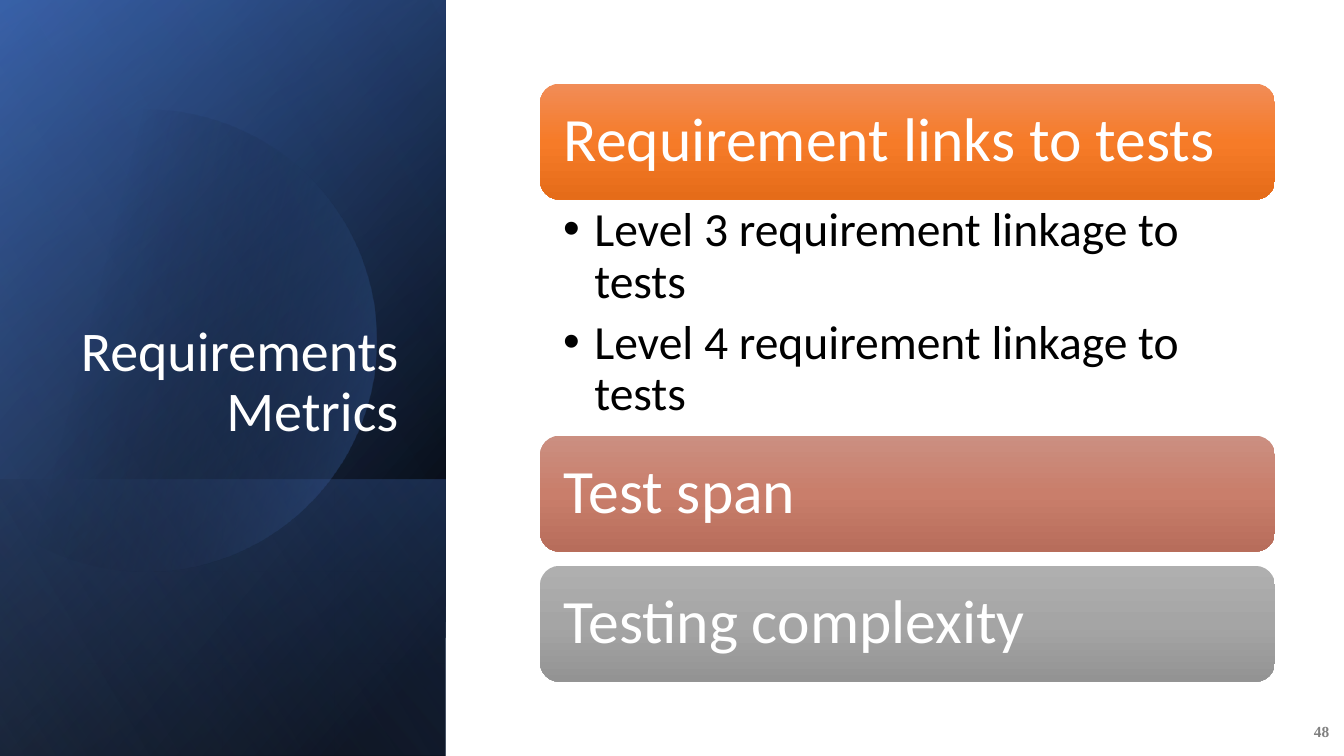
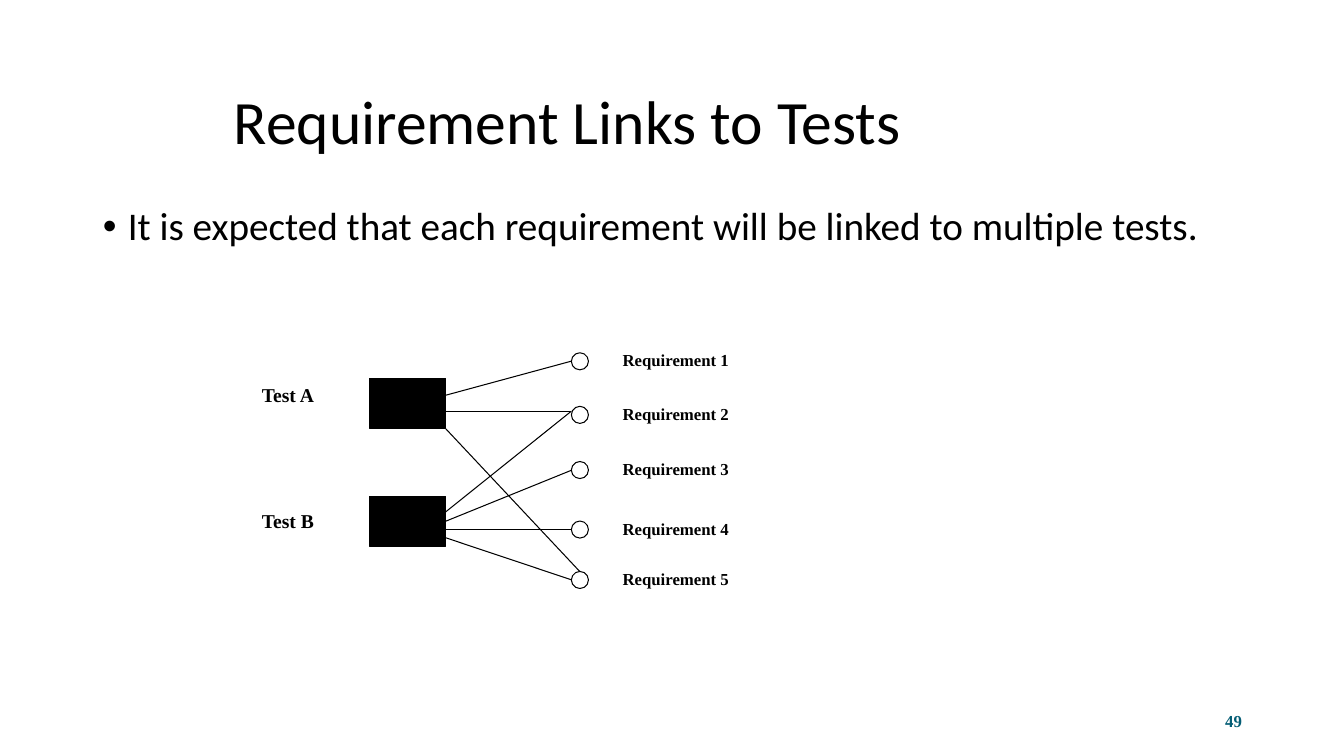
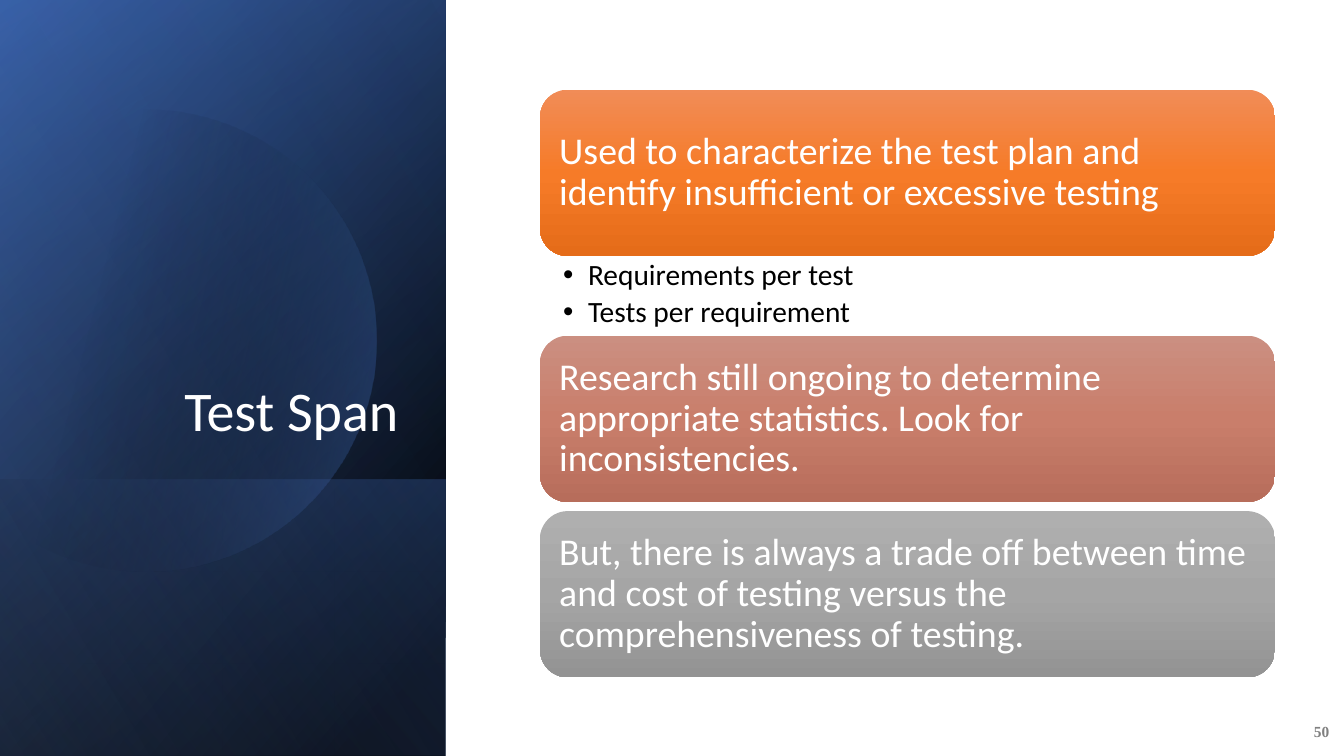
import math

import lxml.etree
import pptx
import pptx.dml.color
import pptx.enum.shapes
import pptx.enum.text
import pptx.oxml.ns
import pptx.util

Cm = pptx.util.Cm
Pt = pptx.util.Pt
qn = pptx.oxml.ns.qn
SHAPES = pptx.enum.shapes.MSO_SHAPE
ALIGN = pptx.enum.text.PP_ALIGN
ANCHOR = pptx.enum.text.MSO_ANCHOR

COLORS = {
    "black": "000000", "white": "FFFFFF", "gray": "808080", "teal": "045D75",
    "navy": "2F5597", "blue": "4472C4", "sky": "8FAADC",
    "orange light": "F18C57", "orange": "F67B28", "orange dark": "E56C19",
    "clay light": "CB8F81", "clay": "C97E6B", "clay dark": "B76D5B",
    "silver light": "AFAFAF", "silver": "A5A5A5", "silver dark": "939393",
}
CARD_HUES = ("orange", "clay", "silver")
SERIF = {"name": "Times New Roman", "bold": True}
SANS = {"name": "Calibri", "bold": False}

PANEL_WIDTH = 11.23
# top, height, gradient angle, stops of (position %, colour, opacity %)
PANEL_BACK = [
    (0, 19.05, 50, [(8, "black", 100), (100, "navy", 100)]),
    (0, 19.05, 30, [(0, "black", 0), (99, "blue", 46)]),
    (12.09, 6.96, 130, [(2, "blue", 29), (100, "black", 30)]),
]
PANEL_GLOSS = (0, 19.05, 120, [(0, "black", 0), (99, "sky", 11)])
DISC_X, DISC_Y, DISC_RADIUS = 3.68, 8.59, 5.82

CARD_LEFT, CARD_WIDTH = 13.61, 18.52


def box(left, top, width, height):
    return Cm(left), Cm(top), Cm(width), Cm(height)


def place(placeholder, left, top, width, height):
    frame = dict(zip(("left", "top", "width", "height"), box(left, top, width, height)))
    for name, value in frame.items():
        setattr(placeholder, name, value)


def write(frame, lines, font, size, color, anchor=ANCHOR.TOP, align=ALIGN.LEFT,
          spacing=1.0, after=0, bullet_indent=0, insets=(0.25, 0.13, 0.25, 0.13)):
    """Fill a text frame with one formatted paragraph per line; insets run left, top, right, bottom."""
    frame_format = {"word_wrap": True, "vertical_anchor": anchor,
                    "auto_size": pptx.enum.text.MSO_AUTO_SIZE.NONE}
    for side, inset in zip(("left", "top", "right", "bottom"), insets):
        frame_format[f"margin_{side}"] = Cm(inset)
    for name, value in frame_format.items():
        setattr(frame, name, value)
    for index, line in enumerate(lines):
        paragraph = frame.paragraphs[0] if index == 0 else frame.add_paragraph()
        if bullet_indent:
            add_bullet(paragraph, bullet_indent)
        paragraph_format = {"alignment": align, "line_spacing": spacing,
                            "space_before": Pt(0), "space_after": Pt(after)}
        for name, value in paragraph_format.items():
            setattr(paragraph, name, value)
        run = paragraph.add_run()
        run.text = line
        for name, value in {**font, "size": Pt(size)}.items():
            setattr(run.font, name, value)
        run.font.color.rgb = pptx.dml.color.RGBColor.from_string(COLORS[color])


def add_bullet(paragraph, indent):
    properties = paragraph._p.get_or_add_pPr()
    properties.set("marL", str(Cm(indent)))
    properties.set("indent", str(-Cm(indent)))
    lxml.etree.SubElement(properties, qn("a:buFont"), typeface="Arial")
    lxml.etree.SubElement(properties, qn("a:buChar"), char="•")


def add_label(slide, text, frame, size, color="black", **text_format):
    label = slide.shapes.add_textbox(*box(*frame))
    write(label.text_frame, [text], SERIF, size, color, **text_format)


def paint_gradient(shape, angle, stops):
    """Give a borderless shape a linear gradient; the angle runs clockwise."""
    shape.shadow.inherit = False
    shape.line.fill.background()
    shape.fill.gradient()
    shape.fill.gradient_angle = 360 - angle
    stop_list = shape._element.spPr.find(qn("a:gradFill")).find(qn("a:gsLst"))
    for default_stop in list(stop_list):
        stop_list.remove(default_stop)
    for position, color, opacity in stops:
        stop = lxml.etree.SubElement(stop_list, qn("a:gs"), pos=str(position * 1000))
        tone = lxml.etree.SubElement(stop, qn("a:srgbClr"), val=COLORS[color])
        if opacity < 100:
            lxml.etree.SubElement(tone, qn("a:alpha"), val=str(opacity * 1000))


def add_panel_layer(slide, top, height, angle, stops):
    """Add a mirrored rectangle turned by 90°, so its gradient turns with it."""
    shift = (PANEL_WIDTH - height) / 2
    layer = slide.shapes.add_shape(SHAPES.RECTANGLE,
                                   *box(shift, top - shift, height, PANEL_WIDTH))
    layer.rotation = 90
    layer._element.spPr.find(qn("a:xfrm")).set("flipH", "1")
    paint_gradient(layer, angle, stops)


def add_disc(slide):
    """Add the circle that the left edge of the slide cuts off."""
    half_arc = math.acos(-DISC_X / DISC_RADIUS)
    steps = 90
    angles = [half_arc * (2 * step / steps - 1) for step in range(steps + 1)]
    rim = [(Cm(DISC_X + DISC_RADIUS * math.cos(angle)),
            Cm(DISC_Y + DISC_RADIUS * math.sin(angle))) for angle in angles]
    outline = slide.shapes.build_freeform(*rim[0])
    outline.add_line_segments(rim[1:], close=True)
    paint_gradient(outline.convert_to_shape(), 14, [(29, "black", 0), (100, "blue", 43)])


def add_panel_slide(deck, title, number):
    slide = deck.slides.add_slide(deck.slide_layouts[5])
    for layer in PANEL_BACK:
        add_panel_layer(slide, *layer)
    add_disc(slide)
    add_panel_layer(slide, *PANEL_GLOSS)
    heading = slide.shapes.title
    heading._element.getparent().append(heading._element)
    place(heading, 1.63, 4.67, 8.66, 6.65)
    write(heading.text_frame, [title], SANS, 40, "white",
          anchor=ANCHOR.BOTTOM, align=ALIGN.RIGHT, spacing=0.9)
    add_label(slide, number, (32.51, 17.93, 1.24, 1.02), 11, "gray",
              anchor=ANCHOR.MIDDLE, align=ALIGN.RIGHT)
    return slide


def add_card(slide, text, hue, top, height, size, inset):
    card = slide.shapes.add_shape(SHAPES.ROUNDED_RECTANGLE,
                                  *box(CARD_LEFT, top, CARD_WIDTH, height))
    paint_gradient(card, 90, [(0, f"{hue} light", 100), (50, hue, 100),
                              (100, f"{hue} dark", 100)])
    write(card.text_frame, [text], SANS, size, "white", anchor=ANCHOR.MIDDLE,
          spacing=0.9, insets=(inset,) * 4)


def add_card_stack(slide, headlines, points, top, card_height, points_height, gap,
                   card_text, points_text):
    """Stack three cards, with the bullet points under the first."""
    for index, (headline, hue) in enumerate(zip(headlines, CARD_HUES)):
        add_card(slide, headline, hue, top, card_height, **card_text)
        top += card_height
        if index == 0:
            details = slide.shapes.add_textbox(
                *box(CARD_LEFT, top, CARD_WIDTH, points_height))
            write(details.text_frame, points, SANS, color="black", spacing=0.9,
                  **points_text)
            top += points_height
        else:
            top += gap


def add_outlined(slide, kind, frame, filled):
    node = slide.shapes.add_shape(kind, *box(*frame))
    node.shadow.inherit = False
    black = pptx.dml.color.RGBColor.from_string(COLORS["black"])
    if filled:
        node.fill.solid()
        node.fill.fore_color.rgb = black
    else:
        node.fill.background()
    node.line.color.rgb = black
    node.line.width = Pt(0.75)
    return node


def add_link(slide, start, end):
    link = slide.shapes.add_connector(pptx.enum.shapes.MSO_CONNECTOR.STRAIGHT,
                                      *map(Cm, start + end))
    link.line.color.rgb = pptx.dml.color.RGBColor.from_string(COLORS["black"])
    link.line.width = Pt(0.75)
    lxml.etree.SubElement(link._element.spPr, qn("a:effectLst"))
    return link


def add_link_diagram(slide):
    tests = {}
    for name, top, label_top in (("Test A", 9.53, 9.53), ("Test B", 12.5, 12.7)):
        tests[name] = add_outlined(slide, SHAPES.RECTANGLE, (9.32, top, 1.91, 1.27), True)
        add_label(slide, name, (6.35, label_top, 2.54, 0.84), 14)
    for number, top in enumerate((8.89, 10.24, 11.63, 13.13, 14.4), start=1):
        add_outlined(slide, SHAPES.OVAL, (14.4, top, 0.43, 0.43), False)
        add_label(slide, f"Requirement {number}", (15.44, top - 0.2, 4.01, 0.76), 12)

    test_edge, requirement_edge = 11.23, 14.4
    for start_y, end_y in ((9.96, 9.1), (10.36, 10.36), (12.9, 10.36),
                           (13.34, 13.34), (13.55, 14.61)):
        add_link(slide, (test_edge, start_y), (requirement_edge, end_y))
    add_link(slide, (test_edge, 10.8), (14.61, 14.4))
    middle_link = add_link(slide, (test_edge, 13.13), (requirement_edge, 11.85))
    middle_link.begin_connect(tests["Test B"], 3)


def add_links_slide(deck):
    slide = deck.slides.add_slide(deck.slide_layouts[1])
    heading, statement = slide.placeholders
    place(heading, 5.64, 1.55, 22.86, 3.18)
    write(heading.text_frame, ["Requirement Links to Tests"], SANS, 44, "black",
          anchor=ANCHOR.MIDDLE, spacing=0.9)
    place(statement, 2.34, 5.08, 29.21, 12.09)
    write(statement.text_frame,
          ["It is expected that each requirement will be linked to multiple tests."],
          SANS, 28, "black", spacing=0.9, bullet_indent=0.63)
    add_label(slide, "49", (23.93, 17.65, 7.62, 1.02), 12, "teal",
              anchor=ANCHOR.MIDDLE, align=ALIGN.RIGHT)
    add_link_diagram(slide)


def main():
    deck = pptx.Presentation()
    deck.slide_width, deck.slide_height = Cm(33.87), Cm(19.05)

    add_card_stack(
        add_panel_slide(deck, "Requirements Metrics", "48"),
        ["Requirement links to tests", "Test span", "Testing complexity"],
        ["Level 3 requirement linkage to tests", "Level 4 requirement linkage to tests"],
        top=2.11, card_height=2.92, points_height=5.95, gap=0.36,
        card_text={"size": 44, "inset": 0.46},
        points_text={"size": 34, "after": 7, "bullet_indent": 0.79,
                     "insets": (0.58, 0.15, 0.86, 0.15)})

    add_links_slide(deck)

    add_card_stack(
        add_panel_slide(deck, "Test Span", "50"),
        ["Used to characterize the test plan and identify insufficient or excessive testing",
         "Research still ongoing to determine appropriate statistics. "
         "Look for inconsistencies.",
         "But, there is always a trade off between time and cost of testing "
         "versus the comprehensiveness of testing."],
        ["Requirements per test", "Tests per requirement"],
        top=2.26, card_height=4.19, points_height=2.01, gap=0.23,
        card_text={"size": 27, "inset": 0.28},
        points_text={"size": 21, "after": 4, "bullet_indent": 0.63,
                     "insets": (0.58, 0.1, 0.53, 0.1)})

    deck.save("out.pptx")


if __name__ == "__main__":
    main()
